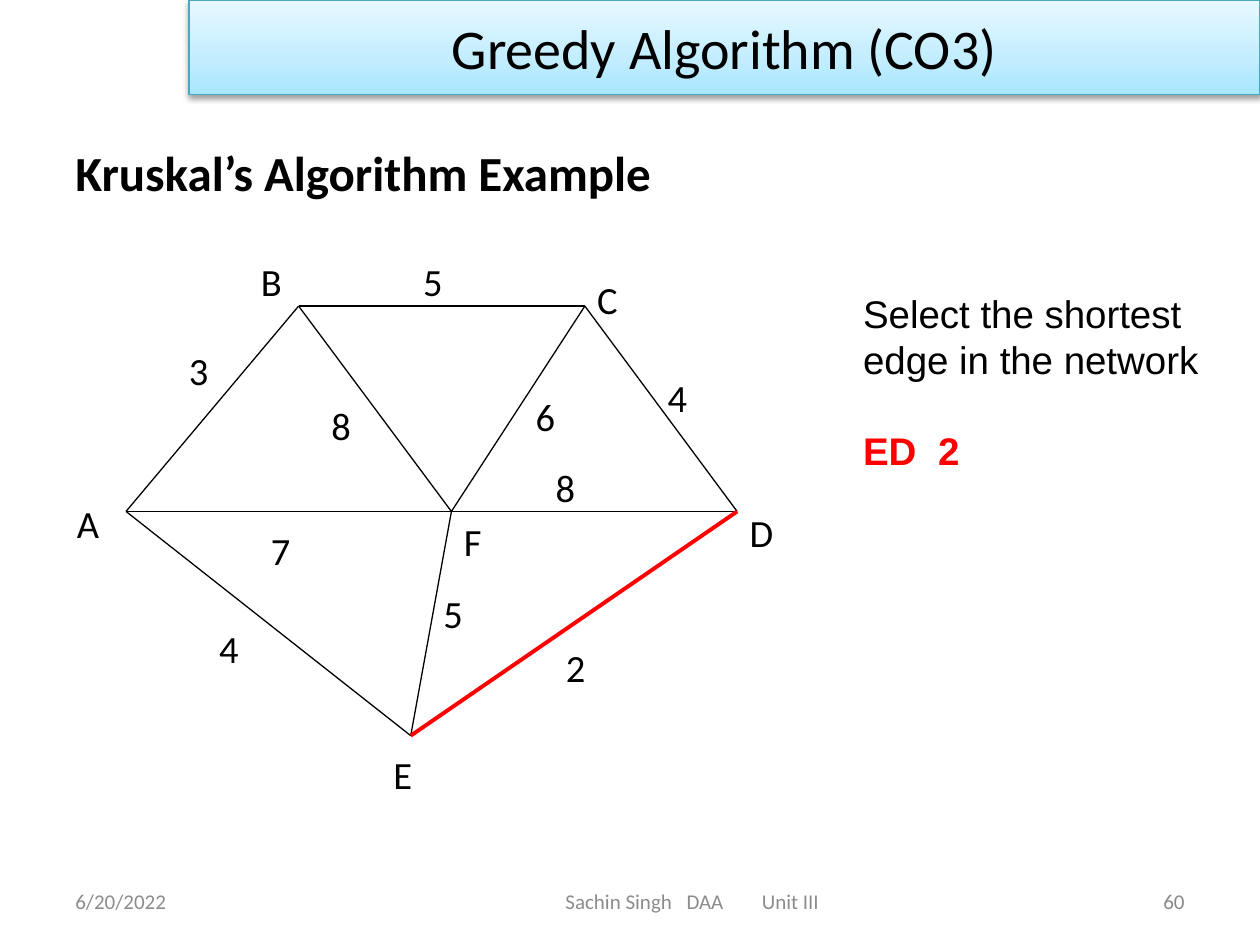
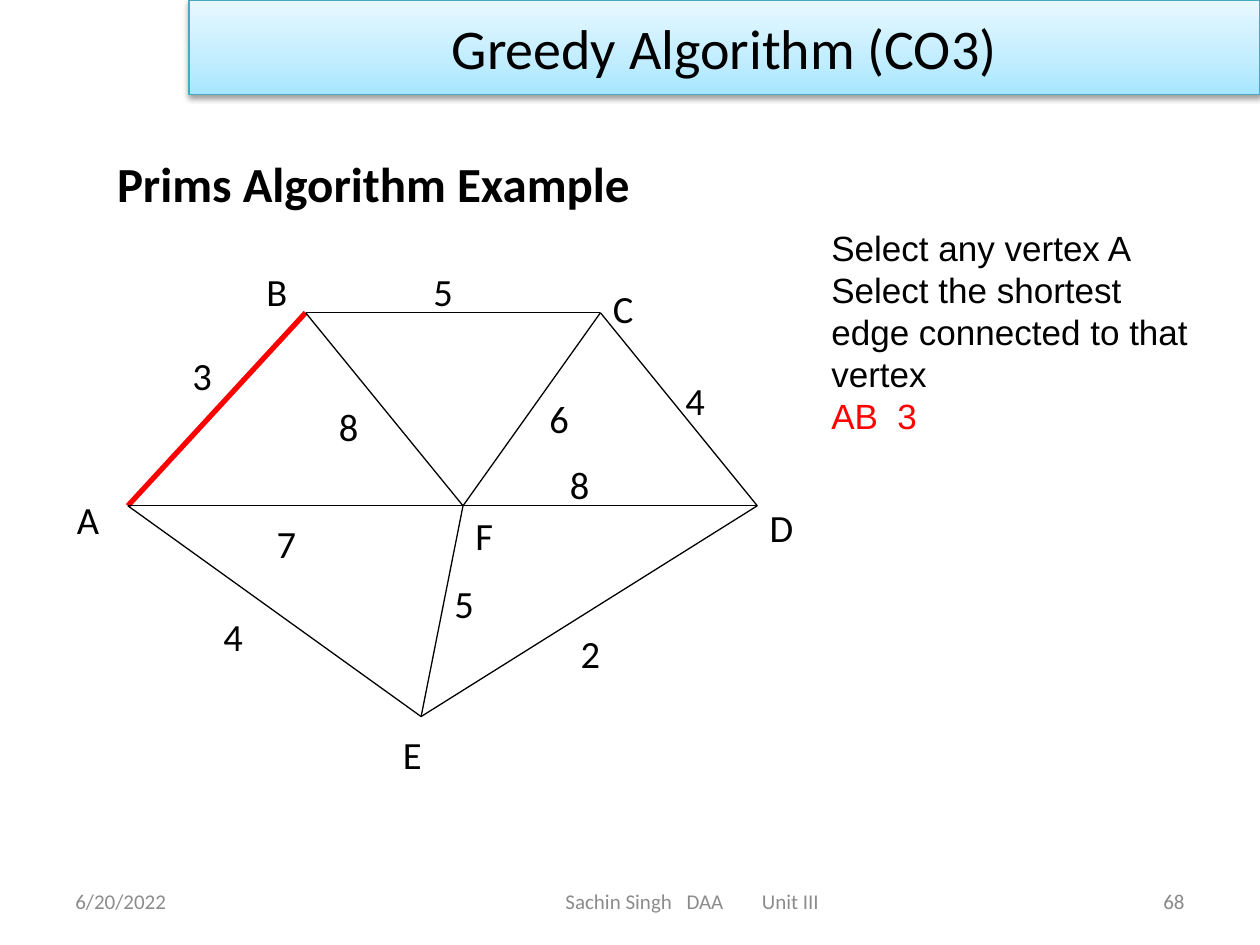
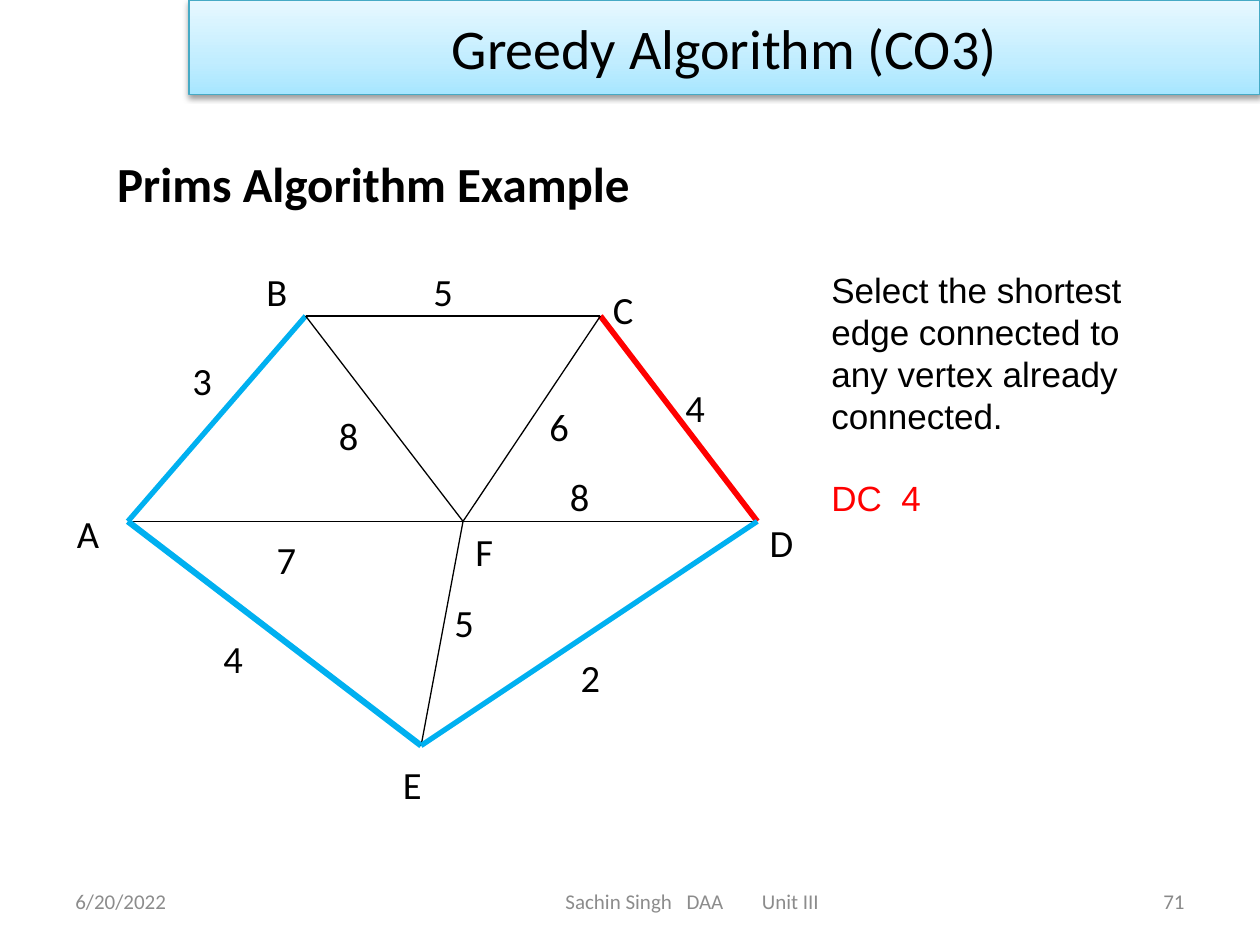
from lxml import etree
from pptx import Presentation
from pptx.dml.color import RGBColor
from pptx.enum import shapes as es, text as et
from pptx.oxml import parse_xml
from pptx.oxml.ns import nsdecls, qn
from pptx.util import Cm, Pt

HUE = {"ink": "000000", "red": "FF0000", "blue": "00B0F0", "grey": "8C8C8C",
       "page": "898989", "rim": "46AAC5"}
STOPS = [(0, "A7E6FF"), (35, "C1EDFF"), (100, "E7F8FF")]
LEFT, MID, RIGHT = et.PP_ALIGN.LEFT, et.PP_ALIGN.CENTER, et.PP_ALIGN.RIGHT

# Places in cm from the top left corner of the graph: point, then label box
NODES = {"A": ((1.24, 5.23), (0, 4.88)), "B": ((4.72, 1.09), (3.71, 0)),
         "C": ((10.49, 1.09), (10.49, 0.36)), "D": ((13.56, 5.23), (13.56, 5.05)),
         "E": ((6.98, 9.75), (6.38, 9.93)), "F": ((7.8, 5.23), (7.8, 5.23))}
# Edge: weight, label box
EDGES = {"AB": ("3", (2.26, 1.8)), "BC": ("5", (6.98, 0)), "CD": ("4", (11.91, 2.34)),
         "AF": ("7", (3.91, 5.41)), "FD": ("8", (9.65, 4.14)), "BF": ("8", (5.13, 2.9)),
         "FC": ("6", (9.25, 2.72)), "AE": ("4", (2.87, 7.39)), "EF": ("5", (7.39, 6.68)),
         "ED": ("2", (9.86, 7.77))}

SLIDES = [
    {"page": "60", "head": "Kruskal’s Algorithm Example", "at": (1.27, 2.74),
     "top": 5.08, "scale": (1, 1), "marks": {"ED": ("red", 2.25)},
     "note": ["Select the shortest", "edge in the network"], "pick": "ED\t2",
     "box": (17.15, 5.72, 7.82, 5.74), "size": 22, "bold": True, "gap": 25.3, "tab": 1.51},
    {"page": "68", "head": "Prims Algorithm Example", "at": (2.11, 2.97),
     "top": 5.28, "scale": (1.03, 0.94), "marks": {"AB": ("red", 3)},
     "note": ["Select any vertex A", "Select the shortest edge connected to that vertex"],
     "pick": "AB\t3",
     "box": (16.51, 4.45, 8.05, 7.09), "size": 20, "bold": False, "gap": 0, "tab": 1.33},
    {"page": "71", "head": "Prims Algorithm Example", "at": (2.11, 2.97),
     "top": 5.28, "scale": (1.03, 1),
     "marks": {"AB": ("blue", 3), "CD": ("red", 3.25), "AE": ("blue", 3.5), "ED": ("blue", 3)},
     "note": ["Select the shortest", "edge connected to", "any vertex already", "connected."],
     "pick": "DC\t4",
     "box": (16.51, 5.28, 8.25, 7.95), "size": 20, "bold": False, "gap": 23, "tab": 1.41},
]


def write(par, words, size, hue="ink", bold=False, face="Calibri", side=LEFT, tabs=()):
    """Add one run to a paragraph; tabs are stops in cm."""
    if tabs:
        row = etree.SubElement(par._p.get_or_add_pPr(), qn("a:tabLst"))
        for stop in tabs:
            etree.SubElement(row, qn("a:tab"), pos=str(Cm(stop)), algn="l")
    par.alignment = side
    run = par.add_run()
    run.text = words
    run.font.name, run.font.size, run.font.bold = face, Pt(size), bold
    run.font.color.rgb = RGBColor.from_string(HUE[hue])


def frame(shapes, x, y, w, h):
    body = shapes.add_textbox(Cm(x), Cm(y), Cm(w), Cm(h)).text_frame
    body.word_wrap = True
    return body


deck = Presentation()
deck.slide_width, deck.slide_height = Cm(25.4), Cm(19.05)

for item in SLIDES:
    slide = deck.slides.add_slide(deck.slide_layouts[5])

    # Title band
    band = slide.shapes.title
    band.left, band.top, band.width, band.height = Cm(3.81), Cm(0), Cm(21.59), Cm(1.9)
    stops = "".join(f'<a:gs pos="{pos * 1000}"><a:srgbClr val="{hue}"/></a:gs>'
                    for pos, hue in STOPS)
    props = band._element.spPr
    props.append(parse_xml(f'<a:gradFill {nsdecls("a")} rotWithShape="1"><a:gsLst>{stops}'
                           '</a:gsLst><a:lin ang="16200000" scaled="0"/></a:gradFill>'))
    band.line.color.rgb = RGBColor.from_string(HUE["rim"])
    band.line.width = Pt(0.75)
    props.append(parse_xml(
        f'<a:effectLst {nsdecls("a")}><a:outerShdw blurRad="40000" dist="20000" dir="5400000" '
        'rotWithShape="0"><a:srgbClr val="000000"><a:alpha val="38000"/></a:srgbClr>'
        '</a:outerShdw></a:effectLst>'))
    band.text_frame.auto_size = et.MSO_AUTO_SIZE.NONE
    band.text_frame.vertical_anchor = et.MSO_ANCHOR.MIDDLE
    write(band.text_frame.paragraphs[0], "Greedy Algorithm (CO3)", 32, side=MID)

    # Footer
    for x, w, words, hue, side, tabs in [
            (1.27, 5.92, "6/20/2022", "grey", LEFT, ()),
            (11.15, 6, "Sachin Singh\tDAA\tUnit III", "grey", LEFT, (2.44, 3.96)),
            (18.21, 5.92, item["page"], "page", RIGHT, ())]:
        foot = frame(slide.shapes, x, 17.65, w, 1.02)
        foot.vertical_anchor = et.MSO_ANCHOR.MIDDLE
        write(foot.paragraphs[0], words, 12, hue, side=side, tabs=tabs)

    head = frame(slide.shapes, *item["at"], 15, 1.45)
    write(head.paragraphs[0], item["head"], 28, bold=True)

    # Graph
    graph = slide.shapes.add_group_shape().shapes
    kx, ky = item["scale"]
    for edge in EDGES:
        (ax, ay), (bx, by) = (NODES[end][0] for end in edge)
        line = graph.add_connector(
            es.MSO_CONNECTOR.STRAIGHT,
            Cm(1.3 + kx * ax), Cm(item["top"] + ky * ay),
            Cm(1.3 + kx * bx), Cm(item["top"] + ky * by))
        hue, wide = item["marks"].get(edge, ("ink", 0.75))
        line.line.color.rgb = RGBColor.from_string(HUE[hue])
        line.line.width = Pt(wide)
        etree.SubElement(line._element.spPr, qn("a:effectLst"))
    names = [(name, spot) for name, (_, spot) in NODES.items()]
    for words, (x, y) in names + list(EDGES.values()):
        label = frame(graph, 1.3 + kx * x, item["top"] + ky * y, 1.25, 1.19)
        write(label.paragraphs[0], words, 22)

    # Step and chosen edge
    note = frame(slide.shapes, *item["box"])
    for i, words in enumerate(item["note"]):
        par = note.add_paragraph() if i else note.paragraphs[0]
        write(par, words, item["size"], face="Arial")
    par = note.add_paragraph()
    par.space_before = Pt(item["gap"])
    write(par, item["pick"], item["size"], "red", item["bold"], "Arial", tabs=[item["tab"]])

deck.save("out.pptx")
